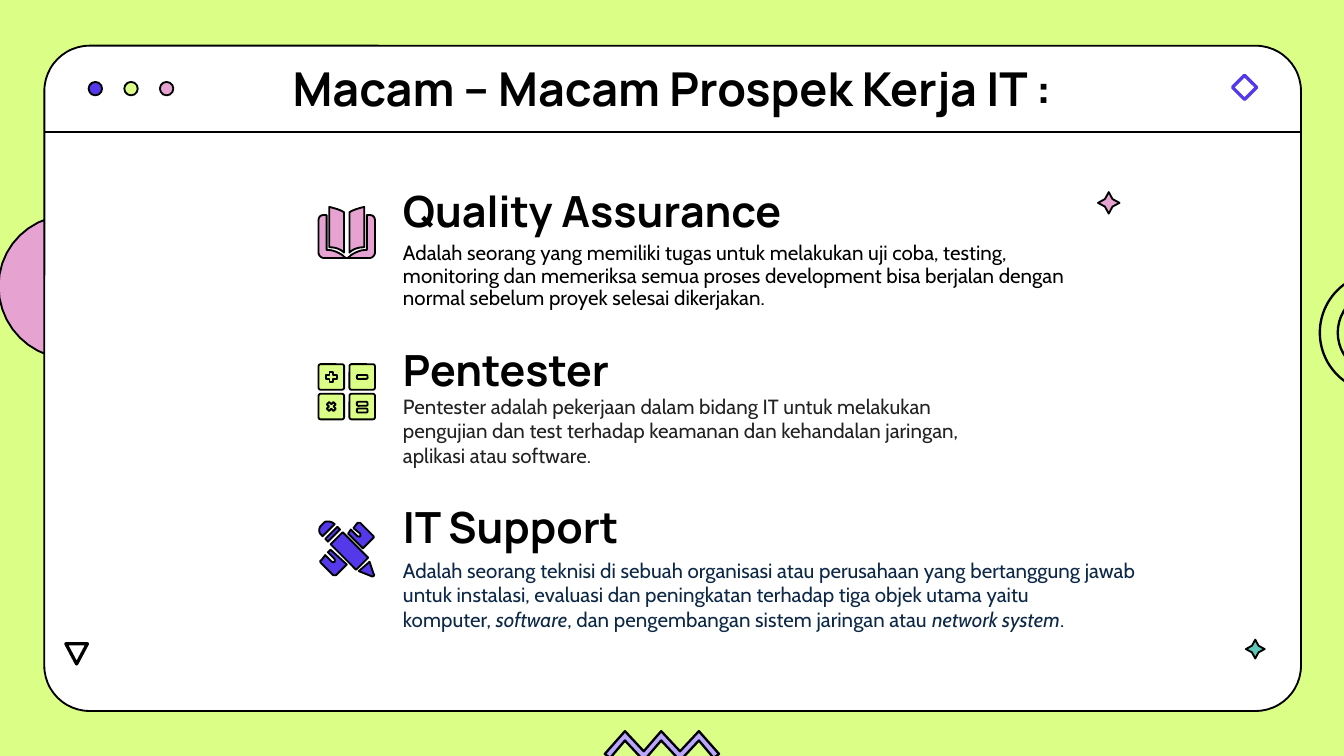
"""Build the slide that lists three kinds of IT work."""
import pptx
import pptx.dml.color
import pptx.enum.shapes
import pptx.enum.text
import pptx.oxml
import pptx.util

Inches = pptx.util.Inches
SHAPE = pptx.enum.shapes.MSO_SHAPE
BLACK, WHITE, LIME, PINK, BLUE = "000000", "FFFFFF", "DBFE87", "E6A2D0", "5339EA"

TITLE = "Macam – Macam Prospek Kerja IT :"
JOBS = [
    {"name": "Quality Assurance", "top": 1.37, "text_top": 1.76, "width": 5.25,
     "name_width": 3.57, "color": BLACK, "spacing": 0.9,
     "runs": [("Adalah seorang yang memiliki tugas untuk melakukan uji coba, testing, "
               "monitoring dan memeriksa semua proses development bisa berjalan dengan "
               "normal sebelum proyek selesai dikerjakan.", False)]},
    {"name": "Pentester", "top": 2.55, "text_top": 2.88, "width": 4.47,
     "name_width": 2.48, "color": "222222", "spacing": 1.0,
     "runs": [("Pentester adalah pekerjaan dalam bidang IT untuk melakukan pengujian dan "
               "test terhadap keamanan dan kehandalan jaringan, aplikasi atau software.", False)]},
    {"name": "IT Support", "top": 3.72, "text_top": 4.1, "width": 5.95,
     "name_width": 2.48, "color": "0C2846", "spacing": 1.0,
     "runs": [("Adalah seorang teknisi di sebuah organisasi atau perusahaan yang bertanggung "
               "jawab untuk instalasi, evaluasi dan peningkatan terhadap tiga objek utama "
               "yaitu komputer,\u00a0", False),
              ("software", True),
              (", dan pengembangan sistem jaringan atau\u00a0", False),
              ("network system", True), (".", False)]},
]

HALF_CIRCLE = [(0.53, 1.6), (0.23, 1.6, -0.01, 1.83, -0.01, 2.13),
               (-0.01, 2.43, 0.23, 2.67, 0.53, 2.67)]
ZIGZAG = [(5.06, 5.66), (4.92, 5.51), (4.79, 5.66), (4.65, 5.51), (4.54, 5.64),
          (4.5, 5.61), (4.65, 5.44), (4.79, 5.59), (4.92, 5.44), (5.06, 5.59),
          (5.2, 5.44), (5.35, 5.61), (5.31, 5.64), (5.2, 5.51)]
BOOK_CENTER = 2.58
BOOK_HALF = [
    [(2.41, 1.6), (2.39, 1.6, 2.37, 1.61, 2.37, 1.64), (2.37, 1.88),
     (2.37, 1.9, 2.39, 1.92, 2.41, 1.92), (2.58, 1.92),
     (2.57, 1.92, 2.56, 1.91, 2.55, 1.9), (2.52, 1.88, 2.48, 1.86, 2.44, 1.86),
     (2.43, 1.86, 2.43, 1.86, 2.43, 1.85), (2.43, 1.6)],
    [(2.45, 1.54), (2.45, 1.84), (2.49, 1.84, 2.53, 1.85, 2.56, 1.88), (2.56, 1.58),
     (2.53, 1.56, 2.49, 1.55, 2.45, 1.54)],
]
PENCIL_AND_RULER = [
    [(2.51, 3.92), (2.42, 4.01), (2.44, 4.03), (2.53, 3.94)],
    [(2.67, 3.89), (2.67, 3.89, 2.67, 3.89, 2.66, 3.89), (2.63, 3.93), (2.68, 3.97),
     (2.68, 3.98, 2.69, 4, 2.66, 3.99), (2.61, 3.94), (2.59, 3.97), (2.7, 4.08),
     (2.78, 4), (2.78, 4, 2.78, 3.99, 2.78, 3.99), (2.68, 3.89)],
    [(2.55, 3.96), (2.46, 4.05), (2.65, 4.24), (2.74, 4.15)],
    [(2.75, 4.18), (2.67, 4.25), (2.77, 4.29), (2.78, 4.29, 2.79, 4.28, 2.78, 4.27)],
    [(2.46, 4.09), (2.44, 4.11), (2.49, 4.16), (2.49, 4.17, 2.5, 4.19, 2.47, 4.18),
     (2.42, 4.13), (2.39, 4.17), (2.38, 4.17, 2.38, 4.18, 2.39, 4.19), (2.48, 4.28),
     (2.48, 4.28, 2.49, 4.28, 2.5, 4.28), (2.58, 4.2)],
    [(2.44, 3.88), (2.43, 3.88, 2.42, 3.88, 2.41, 3.89), (2.39, 3.91),
     (2.37, 3.93, 2.37, 3.96, 2.39, 3.98), (2.4, 3.99), (2.49, 3.9),
     (2.48, 3.89, 2.46, 3.88, 2.44, 3.88)],
]
TILE = 0.19
CALCULATOR = [
    (2.37, 2.71, [(SHAPE.CROSS, 0.08, 0.08, 0, 0)]),
    (2.6, 2.71, [(SHAPE.ROUNDED_RECTANGLE, 0.08, 0.03, 0, 0)]),
    (2.37, 2.93, [(SHAPE.CROSS, 0.07, 0.07, 0, 45)]),
    (2.6, 2.93, [(SHAPE.ROUNDED_RECTANGLE, 0.08, 0.03, offset, 0) for offset in (-0.02, 0.03)]),
]


def rgb(value):
    return pptx.dml.color.RGBColor.from_string(value)


def paint(shape, fill, line=BLACK, weight=1):
    shape.shadow.inherit = False
    if fill:
        shape.fill.solid()
        shape.fill.fore_color.rgb = rgb(fill)
    else:
        shape.fill.background()
    shape.line.color.rgb = rgb(line)
    shape.line.width = pptx.util.Pt(weight)
    return shape


def add_preset(shapes, kind, box, fill, line=BLACK, weight=1, adjust=None, rotation=0):
    shape = paint(shapes.add_shape(kind, *map(Inches, box)), fill, line, weight)
    if adjust is not None:
        shape.adjustments[0] = adjust
    shape.rotation = rotation


def flatten(outline, steps=10):
    points = [outline[0]]
    for segment in outline[1:]:
        if len(segment) == 2:
            points.append(segment)
            continue
        corners = [points[-1], segment[:2], segment[2:4], segment[4:]]
        for step in range(1, steps + 1):
            t = step / steps
            weights = ((1 - t) ** 3, 3 * t * (1 - t) ** 2, 3 * t * t * (1 - t), t ** 3)
            points.append(tuple(sum(w * corner[axis] for w, corner in zip(weights, corners))
                                for axis in (0, 1)))
    return [(Inches(x), Inches(y)) for x, y in points]


def add_outline(shapes, outline, fill, weight=1):
    points = flatten(outline)
    builder = shapes.build_freeform(*points[0])
    builder.add_line_segments(points[1:], close=True)
    paint(builder.convert_to_shape(), fill, weight=weight)


def mirror(outline, center):
    return [tuple(2 * center - value if index % 2 == 0 else value
                  for index, value in enumerate(segment)) for segment in outline]


def write(shape, runs, font, size, color, bold=False, spacing=0.9, before=7.5):
    frame = shape.text_frame
    frame.word_wrap = True
    frame.auto_size = pptx.enum.text.MSO_AUTO_SIZE.NONE
    paragraph = frame.paragraphs[0]
    paragraph.line_spacing = spacing
    paragraph.space_before = pptx.util.Pt(before)
    for text, italic in runs:
        run = paragraph.add_run()
        run.text = text
        run.font.name, run.font.size = font, pptx.util.Pt(size)
        run.font.bold, run.font.italic = bold, italic
        run.font.color.rgb = rgb(color)
    return paragraph


presentation = pptx.Presentation()
presentation.slide_width, presentation.slide_height = Inches(10), Inches(5.625)
slide = presentation.slides.add_slide(presentation.slide_layouts[5])
slide.background.fill.solid()
slide.background.fill.fore_color.rgb = rgb(LIME)
shapes = slide.shapes

add_preset(shapes, SHAPE.DONUT, (9.82, 2.03, 0.89, 0.89), LIME, weight=1.25, adjust=0.15)
add_outline(shapes, HALF_CIRCLE, PINK)
add_preset(shapes, SHAPE.ROUNDED_RECTANGLE, (0.33, 0.34, 9.35, 4.95), WHITE, adjust=0.068)
divider = shapes.add_connector(pptx.enum.shapes.MSO_CONNECTOR.STRAIGHT,
                               *map(Inches, (0.33, 0.98, 9.67, 0.98)))
divider.line.color.rgb = rgb(BLACK)
divider.line.width = pptx.util.Pt(1)
divider._element.spPr.append(pptx.oxml.parse_xml(
    '<a:effectLst xmlns:a="http://schemas.openxmlformats.org/drawingml/2006/main"/>'))

for job in JOBS:
    name_box = shapes.add_textbox(*map(Inches, (2.9, job["top"], job["name_width"], 0.35)))
    write(name_box, [(job["name"], False)], "Manrope", 23, BLACK, bold=True)
    text_box = shapes.add_textbox(*map(Inches, (2.9, job["text_top"], job["width"], 0.58)))
    write(text_box, job["runs"], "Cabin", 11, job["color"], spacing=job["spacing"])

calculator = shapes.add_group_shape().shapes
for left, top, symbols in CALCULATOR:
    add_preset(calculator, SHAPE.ROUNDED_RECTANGLE, (left, top, TILE, TILE), LIME, adjust=0.08)
    for kind, width, height, offset, rotation in symbols:
        box = (left + (TILE - width) / 2, top + (TILE - height) / 2 + offset, width, height)
        add_preset(calculator, kind, box, LIME, adjust=0.33, rotation=rotation)

tools = shapes.add_group_shape().shapes
for outline in PENCIL_AND_RULER:
    add_outline(tools, outline, BLUE)

book = shapes.add_group_shape().shapes
for outline in BOOK_HALF:
    add_outline(book, outline, PINK)
    add_outline(book, mirror(outline, BOOK_CENTER), PINK)

add_preset(shapes, SHAPE.STAR_4_POINT, (8.17, 1.43, 0.16, 0.16), PINK, adjust=0.25)
add_preset(shapes, SHAPE.STAR_4_POINT, (9.27, 4.76, 0.14, 0.14), "60C7B8", adjust=0.25)
add_outline(shapes, ZIGZAG, "BAA5FF", weight=1.25)
add_preset(shapes, SHAPE.ISOSCELES_TRIANGLE, (0.49, 4.79, 0.16, 0.15), None,
           weight=1.75, rotation=180)
add_preset(shapes, SHAPE.DIAMOND, (9.17, 0.56, 0.18, 0.18), None, line=BLUE, weight=1.75)
for index, color in enumerate((BLUE, LIME, PINK)):
    add_preset(shapes, SHAPE.OVAL, (0.66 + 0.265 * index, 0.61, 0.1, 0.1), color)

title = shapes.title
title.left, title.top, title.width, title.height = map(Inches, (0.79, 0.48, 8.42, 0.4))
title.text_frame.vertical_anchor = pptx.enum.text.MSO_ANCHOR.MIDDLE
heading = write(title, [(TITLE, False)], "Manrope", 25, BLACK, bold=True, before=0)
heading.alignment = pptx.enum.text.PP_ALIGN.CENTER
shapes._spTree.append(title._element)

presentation.save("out.pptx")
